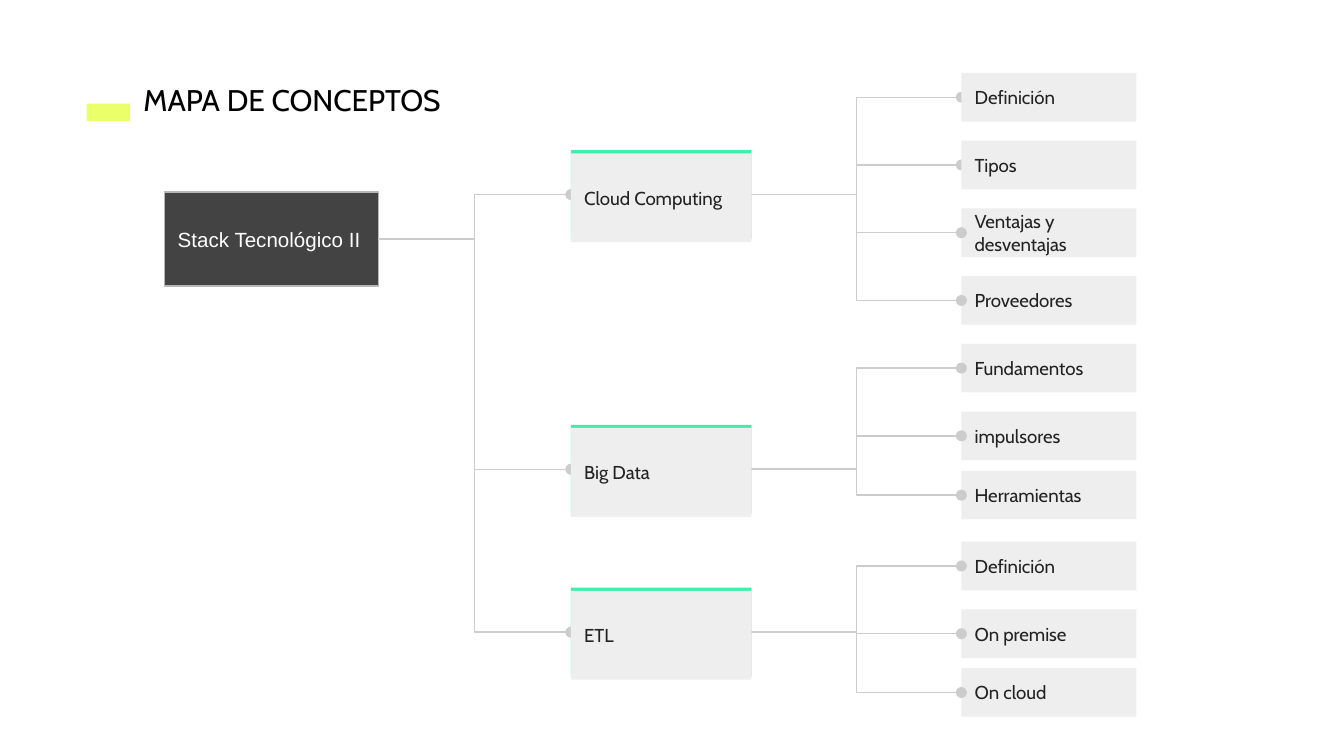
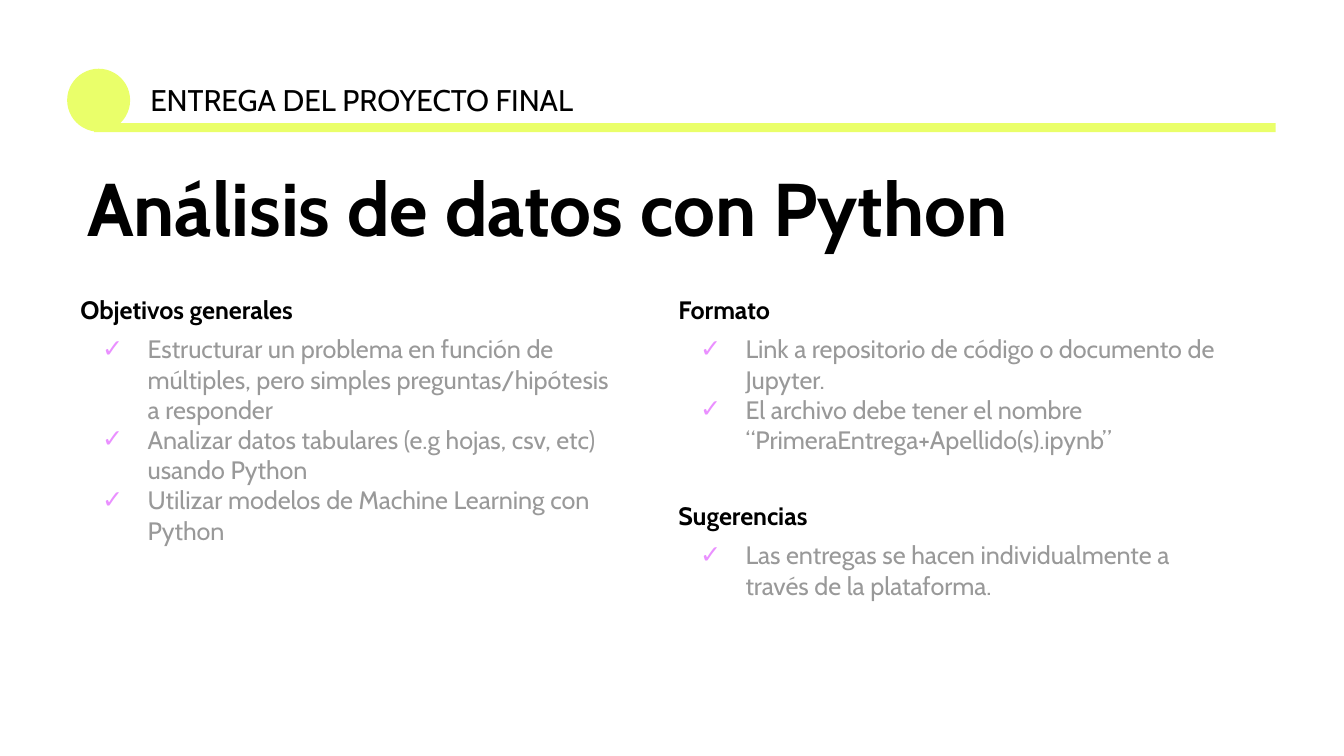
"""Build the concept map and final project slides."""
import pptx
import pptx.util
import pptx.dml.color
import pptx.enum.shapes
import pptx.enum.text
from lxml import etree
from pptx.oxml.ns import qn

Cm = pptx.util.Cm
Pt = pptx.util.Pt
KIND = pptx.enum.shapes.MSO_SHAPE
LINK = pptx.enum.shapes.MSO_CONNECTOR
ANCHOR = pptx.enum.text.MSO_ANCHOR
LEFT = pptx.enum.text.PP_ALIGN.LEFT

LIME, MINT, PINK = "EAFF6A", "3CEFAB", "EA90FF"
BLACK, DARK, INK, WHITE = "000000", "434343", "222222", "FFFFFF"
PALE, WIRE, EDGE, GREY = "EEEEEE", "CCCCCC", "B7B7B7", "999999"
FONT = "Cabin"

ROOT = ("Stack Tecnológico II", (3.11, 3.63, 4.04, 1.78))
TREE = [
    ("Cloud Computing", 2.84, [
        ("Definición", 1.38), ("Tipos", 2.66),
        ("Ventajas y desventajas", 3.94), ("Proveedores", 5.22)]),
    ("Big Data", 8.03, [
        ("Fundamentos", 6.5), ("impulsores", 7.78), ("Herramientas", 8.9)]),
    ("ETL", 11.11, [
        ("Definición", 10.24), ("On premise", 11.52), ("On cloud", 12.63)]),
]
FRONT = {("Cloud Computing", "Definición"), ("Cloud Computing", "Tipos")}

BODIES = [
    ((1.27, 5.31, 10.64, 6.17), [
        ("Objetivos generales", [
            "Estructurar un problema en función de múltiples, pero simples "
            "preguntas/hipótesis a responder",
            "Analizar datos tabulares (e.g hojas, csv, etc) usando Python",
            "Utilizar modelos de Machine Learning con Python"])]),
    ((12.57, 5.31, 10.64, 7.21), [
        ("Formato", [
            "Link a repositorio de código o documento de Jupyter.",
            "El archivo debe tener el nombre "
            "“PrimeraEntrega+Apellido(s).ipynb”"]),
        ("Sugerencias", [
            "Las entregas se hacen individualmente a través de la "
            "plataforma."])]),
]


def tint(code):
    """Turn a hex string into a colour."""
    return pptx.dml.color.RGBColor.from_string(code)


def style(par, size, code, bold=False, font=FONT):
    """Format the runs of a paragraph."""
    par.alignment = LEFT
    for run in par.runs:
        run.font.size = Pt(size)
        run.font.name = font
        run.font.bold = bold
        run.font.color.rgb = tint(code)


def frame(shape, anchor=ANCHOR.TOP):
    """Set wrapping, margins and anchor, and return the text frame."""
    text = shape.text_frame
    text.word_wrap = True
    text.auto_size = pptx.enum.text.MSO_AUTO_SIZE.NONE
    text.vertical_anchor = anchor
    text.margin_left = text.margin_right = Cm(0.25)
    text.margin_top = text.margin_bottom = Cm(0.25)
    return text


def place(shape, area):
    """Move a placeholder to an area."""
    shape.left, shape.top, shape.width, shape.height = map(Cm, area)


def block(slide, area, fill, kind=KIND.RECTANGLE):
    """Add a plain filled shape."""
    shape = slide.shapes.add_shape(kind, *map(Cm, area))
    shape.shadow.inherit = False
    shape.fill.solid()
    shape.fill.fore_color.rgb = tint(fill)
    shape.line.fill.background()
    return shape


def node(slide, area, words, fill=PALE, size=10, code=INK, font=FONT):
    """Add a box of the map with its words."""
    shape = block(slide, area, fill)
    text = frame(shape, ANCHOR.MIDDLE)
    text.text = words
    style(text.paragraphs[0], size, code, font=font)
    return shape


def join(slide, start, end):
    """Link the right side of one box to the left side of another."""
    wire = slide.shapes.add_connector(LINK.ELBOW, 0, 0, 0, 0)
    wire.begin_connect(start, 3)
    wire.end_connect(end, 1)
    wire.line.color.rgb = tint(WIRE)
    wire.line.width = Pt(0.75)
    etree.SubElement(wire.line._get_or_add_ln(), qn("a:tailEnd"), type="oval")
    etree.SubElement(wire.element.spPr, qn("a:effectLst"))


def label(slide, words, left, width):
    """Fill and move the slide title."""
    title = slide.shapes.title
    place(title, (left, 1.3, width, 1.19))
    text = frame(title)
    text.text = words
    style(text.paragraphs[0], 16, BLACK)


def mark(par, sign=None):
    """Give a paragraph a bullet sign, or none."""
    props = par._p.get_or_add_pPr()
    props.set("marL", str(Cm(1.27) if sign else 0))
    props.set("indent", str(Cm(-0.86) if sign else 0))
    if sign:
        hue = etree.SubElement(props, qn("a:buClr"))
        etree.SubElement(hue, qn("a:srgbClr"), val=PINK)
        etree.SubElement(props, qn("a:buChar"), char=sign)
    else:
        etree.SubElement(props, qn("a:buNone"))


def fill_body(shape, area, parts):
    """Write headed lists into a body placeholder."""
    place(shape, area)
    text = frame(shape)
    rows = [(words, words == head) for head, items in parts
            for words in [head, *items]]
    for pos, (words, top) in enumerate(rows):
        par = text.paragraphs[0] if pos == 0 else text.add_paragraph()
        par.text = words
        mark(par, None if top else "✓")
        par.space_before = Pt(24.5 if top and pos else 0)
        par.space_after = Pt(5 if top else 0)
        style(par, 13.5, BLACK if top else GREY, top)


def map_slide(deck):
    """Build the concept map."""
    slide = deck.slides.add_slide(deck.slide_layouts[5])
    label(slide, "MAPA DE CONCEPTOS", 2.46, 6.83)
    block(slide, (1.64, 1.96, 0.82, 0.33), LIME)
    words, area = ROOT
    root = node(slide, area, words, DARK, 11, WHITE, "Arial")
    root.line.color.rgb = tint(EDGE)
    root.line.width = Pt(0.75)
    for name, top, leaves in TREE:
        base = block(slide, (10.79, top, 3.41, 1.68), MINT)
        join(slide, root, base)
        for words, high in leaves:
            leaf = node(slide, (18.17, high, 3.31, 0.92), words)
            join(slide, base, leaf)
            if (name, words) in FRONT:
                slide.shapes.element.append(leaf.element)
        node(slide, (10.79, top + 0.06, 3.41, 1.68), name)


def task_slide(deck):
    """Build the final project slide."""
    slide = deck.slides.add_slide(deck.slide_layouts[3])
    block(slide, (1.27, 1.3, 1.19, 1.19), LIME, KIND.OVAL)
    block(slide, (1.78, 2.33, 22.33, 0.17), LIME)
    label(slide, "ENTREGA DEL PROYECTO FINAL", 2.59, 8.89)
    head = slide.shapes.add_textbox(*map(Cm, (1.4, 3, 20.29, 2.06)))
    text = frame(head)
    text.text = "Análisis de datos con Python"
    text.paragraphs[0].line_spacing = 0.9
    style(text.paragraphs[0], 40, BLACK, True)
    for spot, (area, parts) in enumerate(BODIES, 1):
        fill_body(slide.placeholders[spot], area, parts)


def main():
    """Build and save the deck."""
    deck = pptx.Presentation()
    deck.slide_width, deck.slide_height = Cm(25.4), Cm(14.29)
    map_slide(deck)
    task_slide(deck)
    deck.save("out.pptx")


if __name__ == "__main__":
    main()
